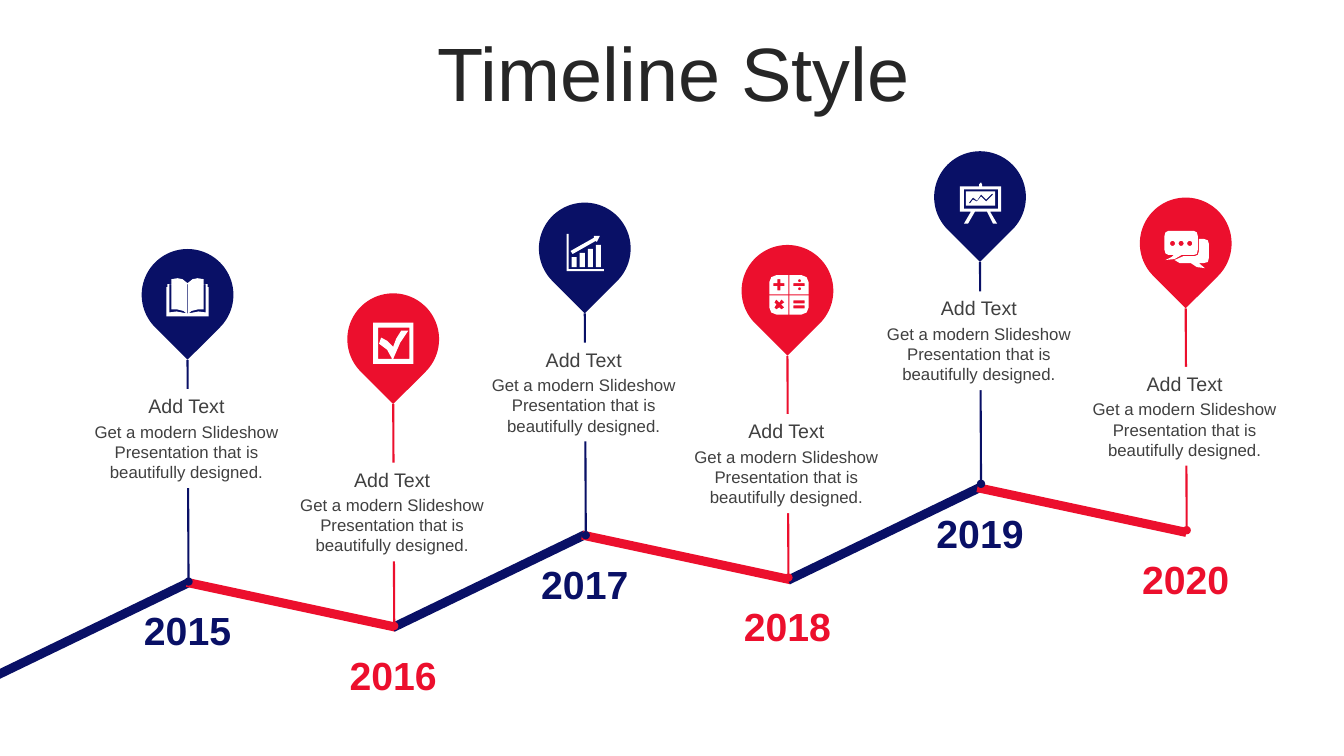
"""Build a one-slide zigzag timeline with six pin milestones."""
import math
from dataclasses import dataclass

from lxml import etree
from pptx import Presentation
from pptx import util as u
from pptx.dml.color import RGBColor
from pptx.enum import shapes, text
from pptx.oxml.ns import qn


@dataclass(frozen=True)
class Theme:
    font: str = "Arial"
    navy: str = "091066"
    red: str = "EC0F2D"
    white: str = "FFFFFF"
    title: str = "262626"
    caption: str = "404040"
    title_size: int = 54
    year_size: int = 28
    heading_size: int = 14
    body_size: int = 12


THEME = Theme()


def box(left, top, right, bottom):
    return [(left, top), (right, top), (right, bottom), (left, bottom)]


def disc(x, y, radius, sides=16):
    turns = [2 * math.pi * side / sides for side in range(sides)]
    return [(x + radius * math.cos(a), y + radius * math.sin(a)) for a in turns]


def mirror(points, width):
    return [(width - x, y) for x, y in points]


BOOK_GAP = [(20, 35), (17, 32.5), (11, 31), (5, 31), (5, 6), (3, 6), (3, 34), (10, 33)]
TOP_KEY = [(0, 19), (0, 7), (2, 2), (7, 0), (19, 0), (19, 19)]
BOTTOM_KEY = [(x, 39 - y) for x, y in TOP_KEY]

BOOK = [
    [(0, 9), (1, 9), (1, 6), (5, 6), (5, 1), (11, 0), (16, 1), (21, 5), (26, 1), (31, 0),
     (37, 1), (37, 6), (41, 6), (41, 9), (42, 9), (42, 38), (0, 38)],
    BOOK_GAP, mirror(BOOK_GAP, 42), box(20.5, 6, 21.25, 35),
]
CHECK = [
    box(0, 0, 40, 41), box(5, 5, 36, 36),
    [(6, 21), (8, 15), (14, 18), (20, 24), (23, 16), (28, 8), (35, 8), (27, 20),
     (20, 36), (19, 36), (14, 27)],
]
GROWTH = [
    *[box(5 + 8 * bar, 23 - 4 * bar, 10 + 8 * bar, 33) for bar in range(4)],
    [(27, 2), (33, 2), (30, 8), (29, 7), (6, 20), (4, 17), (27, 4)],
    [(0, 0), (2, 0), (2, 35), (37, 35), (37, 37), (0, 37)],
]
CALCULATOR = [
    TOP_KEY, mirror(TOP_KEY, 39), BOTTOM_KEY, mirror(BOTTOM_KEY, 39),
    *[box(24, top, 35, top + 3) for top in (8, 25, 30)],
    disc(30, 5.5, 1.5), disc(30, 13.5, 1.5),
    [(8, 4), (11, 4), (11, 8), (15, 8), (15, 11), (11, 11), (11, 15), (8, 15),
     (8, 11), (4, 11), (4, 8), (8, 8)],
    [(7, 24), (5, 27), (7, 29), (5, 32), (7, 34), (10, 32), (12, 34), (15, 32),
     (12, 29), (15, 27), (12, 24), (10, 27)],
]
BOARD = [
    [(0, 4), (19, 4), (19, 2), (21, 0), (22, 2), (22, 4), (41, 4), (41, 29), (30, 29),
     (37, 41), (33, 41), (27, 29), (15, 29), (8, 41), (4, 41), (11, 29), (0, 29)],
    box(4, 7, 38, 26), box(6, 9, 35, 23),
    [(9, 20), (13, 15), (17, 18), (21, 12), (26, 17), (32, 11), (33, 12), (26, 19),
     (21, 14), (17, 19), (13, 17), (10, 21)],
]
CHAT = [
    [(4, 0), (29, 0), (32, 1.5), (33, 5), (33, 19), (32, 23), (29, 24), (17, 24), (10, 28),
     (1, 29), (7, 26), (9, 24), (4, 24), (1, 22.5), (0, 19), (0, 5), (1, 1.5)],
    *[disc(x, 12.5, 2.5) for x in (8, 16.5, 25)],
    [(34, 8), (39, 8), (43, 9.5), (44, 13), (44, 27), (43, 31), (39, 32), (34, 32), (40, 37),
     (32, 36), (26, 32), (15, 32), (10, 29), (19, 25), (30, 25), (33, 24), (34, 21)],
]

TITLE = "Timeline Style"
HEADING = "Add Text"
BODY = "Get a modern Slideshow Presentation that is beautifully designed."
MILESTONES = [
    ("2015", 1.86, 2.47, BOOK, (-0.21, 0.29)),
    ("2016", 3.90, 2.91, CHECK, (-0.20, 0.29)),
    ("2017", 5.80, 2.01, GROWTH, (-0.18, 0.31)),
    ("2018", 7.81, 2.43, CALCULATOR, (-0.18, 0.30)),
    ("2019", 9.72, 1.50, BOARD, (-0.20, 0.31)),
    ("2020", 11.76, 1.96, CHAT, (-0.21, 0.33)),
]
BAR = dict(left=-0.13, top=6.19, across=1.96, rise=0.235, width=2.12, height=0.09)
PIN = 0.91
STEM_TOP, STEM_BOTTOM = 1.10, 3.30
YEAR_DROP, YEAR_WIDTH, YEAR_HEIGHT = 3.50, 1.56, 0.57
CAPTION_WIDTH = 2.30
SIDES = [
    dict(color=THEME.navy, angle=334.2, caption_drop=1.39),
    dict(color=THEME.red, angle=12.1, caption_drop=1.68),
]


def inches(*lengths):
    return [u.Inches(length) for length in lengths]


def paint(shape, color):
    shape.shadow.inherit = False
    shape.fill.solid()
    shape.fill.fore_color.rgb = RGBColor.from_string(color)
    shape.line.fill.background()


def add_block(parent, kind, place, color, rotation=0):
    shape = parent.add_shape(kind, *inches(*place))
    paint(shape, color)
    shape.rotation = rotation
    return shape


def write(shape, words, size, color, bold=False, anchor=text.MSO_ANCHOR.TOP, spacing=1.0):
    frame = shape.text_frame
    for name, value in dict(word_wrap=True, vertical_anchor=anchor).items():
        setattr(frame, name, value)
    paragraph = frame.paragraphs[0]
    paragraph.text = words
    for name, value in dict(alignment=text.PP_ALIGN.CENTER, line_spacing=spacing).items():
        setattr(paragraph, name, value)
    font = paragraph.runs[0].font
    for name, value in dict(name=THEME.font, size=u.Pt(size), bold=bold).items():
        setattr(font, name, value)
    font.color.rgb = RGBColor.from_string(color)


def add_stem(slide, center, top, color):
    ends = inches(center, top + STEM_TOP, center + 0.01, top + STEM_BOTTOM)
    stem = slide.shapes.add_connector(shapes.MSO_CONNECTOR.STRAIGHT, *ends)
    stem.line.width = u.Pt(1.5)
    stem.line.color.rgb = RGBColor.from_string(color)
    properties = stem._element.spPr
    etree.SubElement(properties.find(qn("a:ln")), qn("a:tailEnd"), type="oval")
    etree.SubElement(properties, qn("a:effectLst"))


def add_caption(slide, center, top):
    group = slide.shapes.add_group_shape()
    left = center - CAPTION_WIDTH / 2 - 0.01
    rows = [(HEADING, 0, 0.34, THEME.heading_size), (BODY, 0.27, 0.71, THEME.body_size)]
    for words, drop, height, size in rows:
        place = (left, top + drop, CAPTION_WIDTH, height)
        block = add_block(group.shapes, shapes.MSO_SHAPE.RECTANGLE, place, THEME.white)
        write(block, words, size, THEME.caption)


def add_icon(slide, contours, left, top):
    builder = None
    for contour in contours:
        points = [inches(x / 100, y / 100) for x, y in contour]
        if builder is None:
            builder = slide.shapes.build_freeform(*points[0])
        else:
            builder.move_to(*points[0])
        builder.add_line_segments(points[1:], close=True)
    paint(builder.convert_to_shape(*inches(left, top)), THEME.white)


def main():
    presentation = Presentation()
    presentation.slide_width, presentation.slide_height = inches(13.33, 7.5)
    slide = presentation.slides.add_slide(presentation.slide_layouts[6])
    title = slide.shapes.add_textbox(*inches(0.35, 0.37, 12.66, 0.79))
    write(title, TITLE, THEME.title_size, THEME.title,
          anchor=text.MSO_ANCHOR.MIDDLE, spacing=0.9)

    for index in range(len(MILESTONES)):
        side = SIDES[index % 2]
        place = (BAR["left"] + index * BAR["across"], BAR["top"] - index * BAR["rise"],
                 BAR["width"], BAR["height"])
        add_block(slide.shapes, shapes.MSO_SHAPE.RECTANGLE, place, side["color"], side["angle"])

    for index, (year, center, top, icon, (shift, drop)) in enumerate(MILESTONES):
        side = SIDES[index % 2]
        place = (center - PIN / 2, top, PIN, PIN)
        add_block(slide.shapes, shapes.MSO_SHAPE.TEAR, place, side["color"], 135)
        add_stem(slide, center, top, side["color"])
        label = slide.shapes.add_textbox(
            *inches(center - YEAR_WIDTH / 2, top + YEAR_DROP, YEAR_WIDTH, YEAR_HEIGHT))
        write(label, year, THEME.year_size, side["color"], bold=True)
        add_caption(slide, center, top + side["caption_drop"])
        add_icon(slide, icon, center + shift, top + drop)

    presentation.save("out.pptx")


if __name__ == "__main__":
    main()
